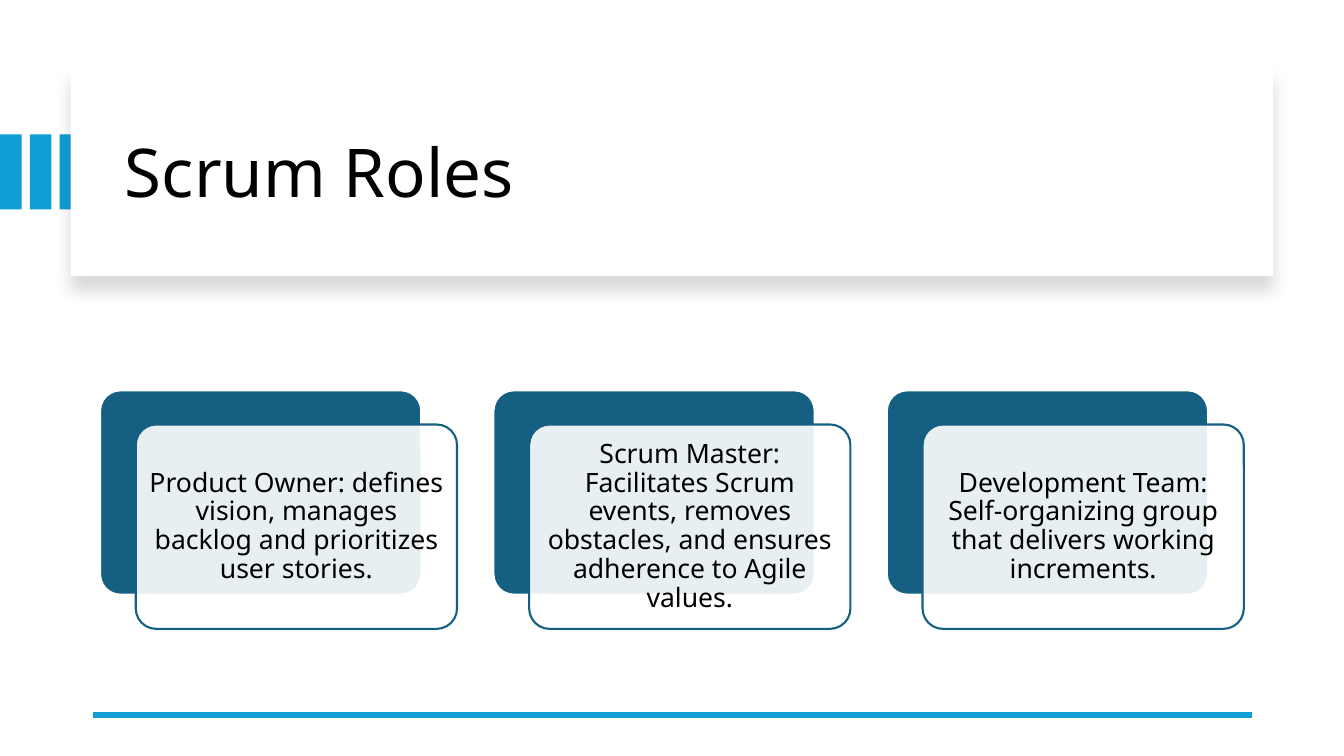
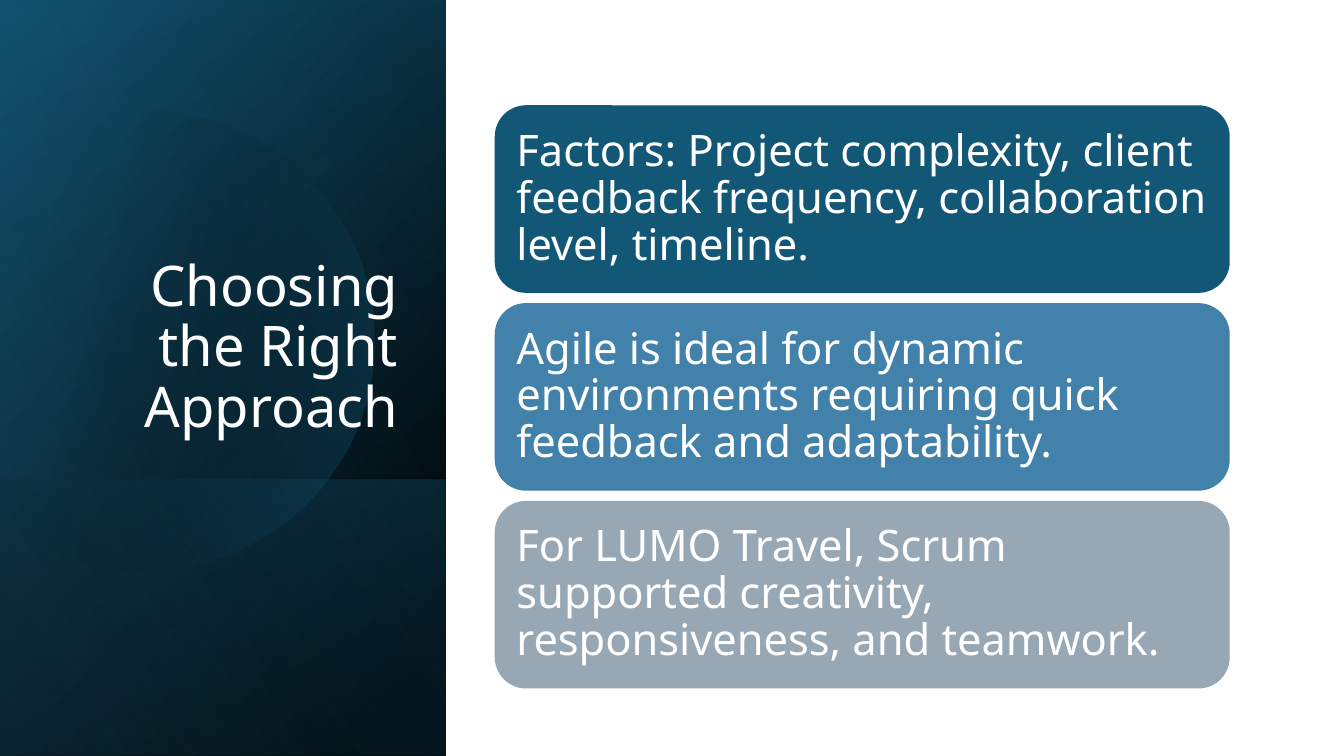
import math
from lxml import etree
from pptx import Presentation
from pptx.dml import color
from pptx.enum import shapes, text
from pptx.oxml import ns
from pptx.util import Pt

hue = color.RGBColor.from_string
Kind = shapes.MSO_SHAPE
Side = text.PP_ALIGN
Hold = text.MSO_ANCHOR
FONT = "Noto Sans"
WHITE, BLACK = "FFFFFF", "000000"
SKY, TEAL = "0F9ED5", "156082"


def block(page, kind, x, y, w, h, fill, edge=None):
    shape = page.shapes.add_shape(kind, Pt(x), Pt(y), Pt(w), Pt(h))
    shape.shadow.inherit = False
    shape.fill.solid()
    shape.fill.fore_color.rgb = hue(fill)
    if edge:
        shape.line.color.rgb = hue(edge)
        shape.line.width = Pt(1.5)
    else:
        shape.line.fill.background()
    return shape


def write(shape, words, size, ink, side, hold, inset):
    frame = shape.text_frame
    frame.word_wrap = True
    frame.auto_size = text.MSO_AUTO_SIZE.NONE
    frame.vertical_anchor = hold
    frame.margin_left = frame.margin_right = Pt(inset)
    frame.margin_top = frame.margin_bottom = Pt(inset)
    para = frame.paragraphs[0]
    para.alignment = side
    para.line_spacing = 0.9
    run = para.add_run()
    run.text = words
    run.font.name = FONT
    run.font.size = Pt(size)
    run.font.color.rgb = hue(ink)


deck = Presentation()
deck.slide_width, deck.slide_height = Pt(960), Pt(540)
plain = deck.slide_layouts[5]
roles = deck.slides.add_slide(plain)
choice = deck.slides.add_slide(plain)

for i in range(3):
    block(roles, Kind.RECTANGLE, 21.3 * i, 96, 15.5, 53.5, SKY)

card = block(roles, Kind.RECTANGLE, 50.4, 48, 859, 149.3, WHITE)
glow = etree.SubElement(
    card.element.spPr.find(ns.qn("a:effectLst")), ns.qn("a:outerShdw"),
    blurRad=str(Pt(11)), dist=str(Pt(10)), dir="5400000", algn="t", rotWithShape="0")
tint = etree.SubElement(glow, ns.qn("a:srgbClr"), val=BLACK)
etree.SubElement(tint, ns.qn("a:alpha"), val="15000")

rule = roles.shapes.add_connector(
    shapes.MSO_CONNECTOR.STRAIGHT, Pt(894.2), Pt(510.5), Pt(66.2), Pt(510.5))
rule.line.color.rgb = hue(SKY)
rule.line.width = Pt(4.5)
etree.SubElement(rule.element.spPr, ns.qn("a:effectLst"))

duties = [
    "Product Owner: defines vision, manages backlog and prioritizes user stories.",
    "Scrum Master: Facilitates Scrum events, removes obstacles, and ensures adherence to Agile values.",
    "Development Team: Self-organizing group that delivers working increments.",
]
for i, words in enumerate(duties):
    x = 71.5 + 281 * i
    back = block(roles, Kind.ROUNDED_RECTANGLE, x, 278.8, 229.5, 146, TEAL, WHITE)
    front = block(roles, Kind.ROUNDED_RECTANGLE, x + 25.5, 303.2, 229.5, 146, WHITE, TEAL)
    back.adjustments[0] = front.adjustments[0] = 0.1
    tint = next(front.element.spPr.iter(ns.qn("a:srgbClr")))
    etree.SubElement(tint, ns.qn("a:alpha"), val="90000")
    write(front, words, 19, BLACK, Side.CENTER, Hold.MIDDLE, 5.5)

wide, tall, foot = 318.5, 540, 342.7
mid, high, size = 103, 243.4, 164.2
reach = math.acos(-mid / size)
ring = []
for i in range(121):
    turn = reach * (i / 60 - 1)
    ring.append((Pt(mid + size * math.cos(turn)), Pt(high + size * math.sin(turn))))

layers = [
    (0, 220, (8, BLACK, 100), (100, "104862", 100)),
    (0, 240, (0, BLACK, 0), (99, TEAL, 46)),
    (foot, 140, (2, TEAL, 29), (100, BLACK, 30)),
    (None, 14, (29, BLACK, 0), (100, TEAL, 43)),
    (0, 150, (0, BLACK, 0), (99, "46B1E1", 11)),
]
for top, angle, *stops in layers:
    if top is None:
        pen = choice.shapes.build_freeform(*ring[0])
        pen.add_line_segments(ring[1:], close=True)
        pane = pen.convert_to_shape()
        pane.shadow.inherit = False
        pane.line.fill.background()
    else:
        pane = block(choice, Kind.RECTANGLE, 0, top, wide, tall - top, BLACK)
    pane.fill.gradient()
    pane.fill.gradient_angle = 360 - angle
    for stop, (spot, shade, _) in zip(pane.fill.gradient_stops, stops):
        stop.position = spot / 100
        stop.color.rgb = hue(shade)
    for tint, (_, _, alpha) in zip(pane.element.spPr.iter(ns.qn("a:srgbClr")), stops):
        etree.SubElement(tint, ns.qn("a:alpha"), val=str(alpha * 1000))

points = [
    ("135776", "Factors: Project complexity, client feedback frequency, collaboration level, timeline."),
    ("4281A9", "Agile is ideal for dynamic environments requiring quick feedback and adaptability."),
    ("98A7B4", "For LUMO Travel, Scrum supported creativity, responsiveness, and teamwork."),
]
for i, (fill, words) in enumerate(points):
    bar = block(choice, Kind.ROUNDED_RECTANGLE, 353.4, 75.2 + 141.3 * i, 525, 134, fill)
    write(bar, words, 31, WHITE, Side.LEFT, Hold.MIDDLE, 9)

heads = [
    (roles, "Scrum Roles", (82, 64, 801.5, 122.4), 48, BLACK, Side.LEFT, Hold.MIDDLE),
    (choice, "Choosing the Right Approach", (46, 132.5, 245.5, 188.6), 40, WHITE,
     Side.RIGHT, Hold.BOTTOM),
]
for page, words, spot, size, ink, side, hold in heads:
    title = page.shapes.title
    title.left, title.top, title.width, title.height = map(Pt, spot)
    write(title, words, size, ink, side, hold, 7.2)
    title.element.getparent().append(title.element)

deck.save("out.pptx")
